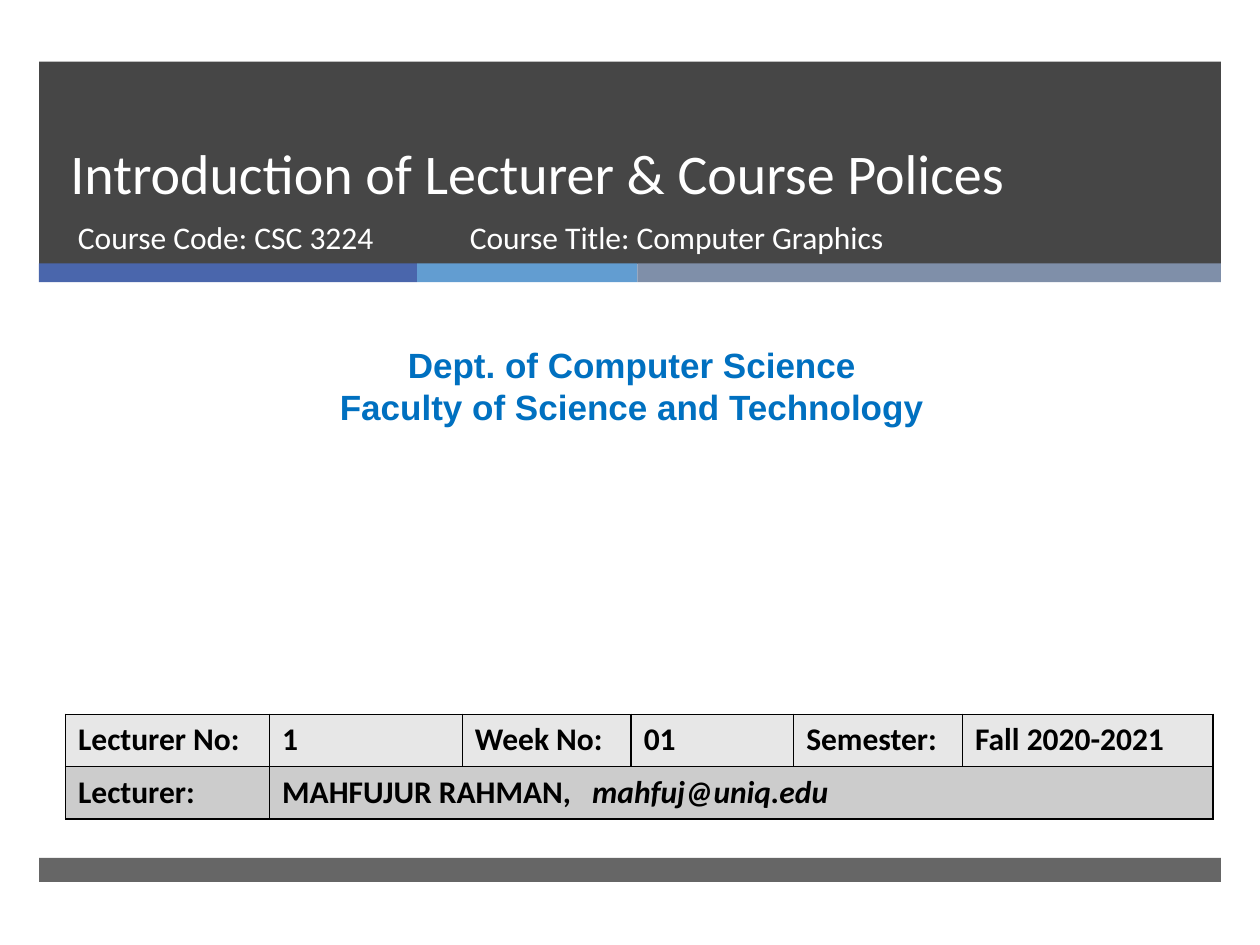
from typing import NamedTuple

from lxml import etree
from pptx import Presentation
from pptx import util as u
from pptx.dml.color import RGBColor
from pptx.enum import shapes, text
from pptx.oxml.ns import qn

SLIDE_W, SLIDE_H = u.Inches(10), u.Inches(7.5)
WHITE, BLACK, CHARCOAL, DEPT_BLUE = "FFFFFF", "000000", "262626", "0070C0"


class Box(NamedTuple):
    """Left, top, width and height in percent of the slide."""
    left: float
    top: float
    width: float
    height: float

    def emu(self) -> tuple:
        return (across(self.left), down(self.top),
                across(self.width), down(self.height))


class Band(NamedTuple):
    box: Box
    fill: str
    opacity: int = 100


class Run(NamedTuple):
    words: str
    size: int
    color: str
    font: str = "Calibri"
    bold: bool = False
    italic: bool = False


class Caption(NamedTuple):
    box: Box
    lines: list
    align: text.PP_ALIGN = text.PP_ALIGN.LEFT
    anchor: text.MSO_ANCHOR = text.MSO_ANCHOR.TOP
    spacing: float = 1.0


def across(percent: float) -> int:
    return round(SLIDE_W * percent / 100)


def down(percent: float) -> int:
    return round(SLIDE_H * percent / 100)


def paint(color_format, color: str) -> None:
    color_format.rgb = RGBColor.from_string(color)


def fill_solid(fill, color: str) -> None:
    fill.solid()
    paint(fill.fore_color, color)


def add_run(paragraph, piece: Run) -> None:
    run = paragraph.add_run()
    run.text = piece.words
    run.font.name = piece.font
    run.font.size = u.Pt(piece.size)
    run.font.bold = piece.bold
    run.font.italic = piece.italic
    paint(run.font.color, piece.color)


def draw_band(slide, band: Band) -> None:
    bar = slide.shapes.add_shape(shapes.MSO_SHAPE.RECTANGLE, *band.box.emu())
    bar.shadow.inherit = False
    bar.line.fill.background()
    fill_solid(bar.fill, band.fill)
    if band.opacity < 100:
        tone = bar.fill._xPr.find(".//" + qn("a:srgbClr"))
        etree.SubElement(tone, qn("a:alpha"), val=str(band.opacity * 1000))


def draw_caption(slide, caption: Caption) -> None:
    frame = slide.shapes.add_textbox(*caption.box.emu()).text_frame
    frame.word_wrap = True
    frame.vertical_anchor = caption.anchor
    for index, line in enumerate(caption.lines):
        paragraph = frame.add_paragraph() if index else frame.paragraphs[0]
        paragraph.alignment = caption.align
        paragraph.line_spacing = caption.spacing
        add_run(paragraph, line)


def outline_cell(cell) -> None:
    properties = cell._tc.get_or_add_tcPr()
    for position, side in enumerate(("a:lnL", "a:lnR", "a:lnT", "a:lnB")):
        edge = etree.Element(qn(side), w=str(u.Pt(1)))
        solid = etree.SubElement(edge, qn("a:solidFill"))
        etree.SubElement(solid, qn("a:srgbClr"), val=BLACK)
        properties.insert(position, edge)


def add_tab_stop(paragraph, position: int) -> None:
    stops = etree.SubElement(paragraph._p.get_or_add_pPr(), qn("a:tabLst"))
    etree.SubElement(stops, qn("a:tab"), pos=str(position), algn="l")


def draw_lecture_details(slide, box: Box, columns: list, rows: list,
                         row_fills: list) -> None:
    details = slide.shapes.add_table(len(rows), len(columns), *box.emu()).table
    for column, width in zip(details.columns, columns):
        column.width = across(width)
    for r, (entries, fill) in enumerate(zip(rows, row_fills)):
        details.rows[r].height = down(box.height / len(rows))
        for c in range(len(columns)):
            cell = details.cell(r, c)
            fill_solid(cell.fill, fill)
            outline_cell(cell)
            for piece in entries[c] if c < len(entries) else []:
                add_run(cell.text_frame.paragraphs[0], piece)
    # The lecturer's name and address run across the remaining columns
    lecturer = details.cell(1, 1)
    lecturer.merge(details.cell(1, len(columns) - 1))
    add_tab_stop(lecturer.text_frame.paragraphs[0], across(24.6))


def detail(words: str, italic: bool = False) -> Run:
    return Run(words, 18, BLACK, bold=True, italic=italic)


def department(words: str) -> Run:
    return Run(words, 20, DEPT_BLUE, "Arial", bold=True)


BANDS = [
    Band(Box(3.1, 6.53, 93.8, 21.4), CHARCOAL, 85),
    Band(Box(3.1, 27.87, 30, 2), "4A66AC"),
    Band(Box(33.1, 27.87, 17.5, 2), "629DD1"),
    Band(Box(50.6, 27.87, 46.3, 2), "7F8FA9"),
    Band(Box(3.1, 90.8, 93.8, 2.53), CHARCOAL, 70),
]

CAPTIONS = [
    Caption(Box(4.6, 6.53, 85.4, 15.87),
            [Run("Introduction of Lecturer & Course Polices", 32, WHITE)],
            anchor=text.MSO_ANCHOR.BOTTOM, spacing=u.Pt(46)),
    Caption(Box(5.2, 22.4, 30.5, 7.07),
            [Run("Course Code: CSC 3224", 18, WHITE)]),
    Caption(Box(36.3, 22.4, 45.5, 7.07),
            [Run("Course Title: Computer Graphics", 18, WHITE)]),
    Caption(Box(0.8, 35.73, 98.7, 10.27),
            [department("Dept. of Computer Science"),
             department("Faculty of Science and Technology")],
            align=text.PP_ALIGN.CENTER),
]

DETAIL_COLUMNS = [16.2, 15.3, 13.4, 12.9, 13.4, 19.9]
DETAIL_ROWS = [
    [[detail(words)] for words in ("Lecturer No:", "1", "Week No:", "01",
                                   "Semester:", "Fall 2020-2021")],
    [[detail("Lecturer:")],
     [detail("MAHFUJUR RAHMAN,\t"), detail("mahfuj@uniq.edu", italic=True)]],
]


def main() -> None:
    deck = Presentation()
    deck.slide_width, deck.slide_height = SLIDE_W, SLIDE_H
    slide = deck.slides.add_slide(deck.slide_layouts[6])
    fill_solid(slide.background.fill, WHITE)
    # Title block, accent strip and footer bar
    for band in BANDS:
        draw_band(slide, band)
    # Title, course and department
    for caption in CAPTIONS:
        draw_caption(slide, caption)
    # Lecture details
    draw_lecture_details(slide, Box(5.2, 75.6, 91.1, 11.07), DETAIL_COLUMNS,
                         DETAIL_ROWS, ["E7E7E7", "CCCCCC"])
    deck.save("out.pptx")


if __name__ == "__main__":
    main()
